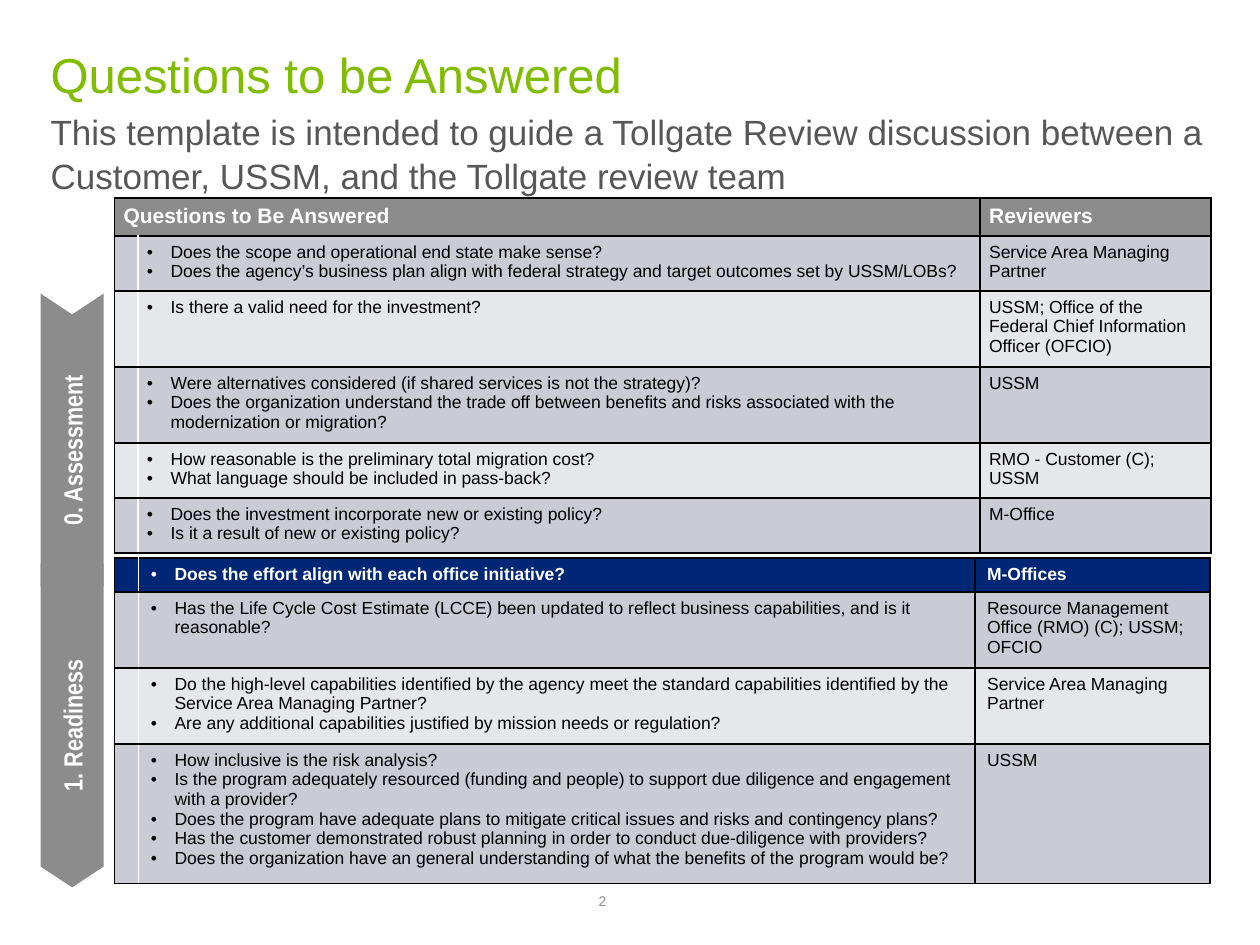
"""Builds the slide listing the questions and reviewers of two tollgate phases."""
from dataclasses import dataclass

from lxml.etree import SubElement
from pptx import Presentation
from pptx.dml.color import RGBColor
from pptx.enum.shapes import MSO_SHAPE as Shape
from pptx.enum.text import MSO_ANCHOR as Anchor, PP_ALIGN as Align
from pptx.oxml.ns import qn
from pptx.util import Cm, Pt

TITLE = "Questions to be Answered"
SUBTITLE = ("This template is intended to guide a Tollgate Review discussion between a "
            "Customer, USSM, and the Tollgate review team")
PAGE_NUMBER = "2"
HEADER = ("Questions to Be Answered", "Reviewers")

ASSESSMENT = [
    (2, ["Does the scope and operational end state make sense?",
         "Does the agency’s business plan align with federal strategy and target outcomes set by USSM/LOBs?"],
     "Service Area Managing Partner"),
    (3, ["Is there a valid need for the investment?"],
     "USSM; Office of the Federal Chief Information Officer (OFCIO)"),
    (3, ["Were alternatives considered (if shared services is not the strategy)?",
         "Does the organization understand the trade off between benefits and risks associated with the "
         "modernization or migration?"],
     "USSM"),
    (2, ["How reasonable is the preliminary total migration cost?",
         "What language should be included in pass-back?"],
     "RMO - Customer (C); USSM"),
    (2, ["Does the investment incorporate new or existing policy?",
         "Is it a result of new or existing policy?"],
     "M-Office"),
]
READINESS = [
    (1, ["Does the effort align with each office initiative?"], "M-Offices"),
    (3, ["Has the Life Cycle Cost Estimate (LCCE) been updated to reflect business capabilities, "
         "and is it reasonable?"],
     "Resource Management Office (RMO) (C); USSM; OFCIO"),
    (3, ["Do the high-level capabilities identified by the agency meet the standard capabilities "
         "identified by the Service Area Managing Partner?",
         "Are any additional capabilities justified by mission needs or regulation?"],
     "Service Area Managing Partner"),
    (6, ["How inclusive is the risk analysis?",
         "Is the program adequately resourced (funding and people) to support due diligence and "
         "engagement with a provider?",
         "Does the program have adequate plans to mitigate critical issues and risks and contingency plans?",
         "Has the customer demonstrated robust planning in order to conduct due-diligence with providers?",
         "Does the organization have an general understanding of what the benefits of the program would be?"],
     "USSM"),
]
PHASES = [
    dict(label="0. Assessment", arrow=(5.92, 6.32), top=3.99, inset=0.18, columns=(0.47, 16.98, 4.65),
         rows=ASSESSMENT, header=HEADER),
    dict(label="1. Readiness", arrow=(11.36, 6.53), top=11.25, inset=0.25, columns=(0.48, 16.86, 4.74),
         rows=READINESS, header=None),
]


@dataclass(frozen=True)
class Theme:
    font: str = "Arial"
    narrow: str = "Arial Narrow"
    green: str = "81BC00"
    text: str = "575757"
    gray: str = "8C8C8C"
    navy: str = "002776"
    bands: tuple = ("CACBD5", "E6E7EB")
    black: str = "000000"
    white: str = "FFFFFF"
    title: int = 28
    subtitle: int = 20
    arrow: int = 15
    header: int = 12
    body: int = 10
    number: int = 8


theme = Theme()
TABLE_LEFT, LINE, PADDING, HEADER_HEIGHT = 2.31, 0.39, 0.13, 0.74
ARROW_LEFT, ARROW_WIDTH, INDENT = 0.82, 1.27, 0.48


def add_bullet(para, color):
    properties = para._p.get_or_add_pPr()
    properties.set("marL", str(Cm(INDENT)))
    properties.set("indent", str(-Cm(INDENT)))
    SubElement(SubElement(properties, qn("a:buClr")), qn("a:srgbClr"), val=color)
    SubElement(properties, qn("a:buFont"), typeface=theme.font)
    SubElement(properties, qn("a:buChar"), char="•")


def write(frame, *lines, size=theme.body, color=theme.black, font=theme.font, bold=False,
          align=Align.LEFT, spacing=None, bullet=False):
    frame.word_wrap = True
    for index, line in enumerate(lines):
        para = frame.add_paragraph() if index else frame.paragraphs[0]
        para.alignment = align
        if spacing:
            para.line_spacing = spacing
        if bullet:
            add_bullet(para, color)
        span = para.add_run()
        span.text = line
        span.font.size, span.font.name, span.font.bold = Pt(size), font, bold
        span.font.color.rgb = RGBColor.from_string(color)


def clear_margins(frame, anchor):
    frame.margin_left = frame.margin_right = frame.margin_top = frame.margin_bottom = 0
    frame.vertical_anchor = anchor


def add_text(page, text, left, top, width, height, anchor=Anchor.TOP, **style):
    box = page.shapes.add_textbox(Cm(left), Cm(top), Cm(width), Cm(height))
    clear_margins(box.text_frame, anchor)
    write(box.text_frame, text, **style)


def style_cell(cell, fill, inset, left=theme.black, right=theme.black):
    properties = cell._tc.get_or_add_tcPr()
    for side, color in zip("LRTB", (left, right, theme.black, theme.black)):
        line = SubElement(properties, qn(f"a:ln{side}"), w=str(Pt(1)))
        SubElement(SubElement(line, qn("a:solidFill")), qn("a:srgbClr"), val=color)
    cell.fill.solid()
    cell.fill.fore_color.rgb = RGBColor.from_string(fill)
    cell.margin_left = cell.margin_right = Cm(inset)
    cell.margin_top = cell.margin_bottom = Cm(PADDING)


def add_questions(page, top, inset, columns, rows, header):
    heights = [HEADER_HEIGHT] * bool(header) + [lines * LINE + 2 * PADDING for lines, *_ in rows]
    table = page.shapes.add_table(len(heights), len(columns), Cm(TABLE_LEFT), Cm(top),
                                  Cm(sum(columns)), Cm(sum(heights))).table
    table.first_row = table.horz_banding = False
    for column, width in zip(table.columns, columns):
        column.width = Cm(width)
    for row, height in zip(table.rows, heights):
        row.height = Cm(height)
    if header:
        table.cell(0, 0).merge(table.cell(0, 1))
        for column, text in zip((0, 2), header):
            style_cell(table.cell(0, column), theme.gray, inset)
            write(table.cell(0, column).text_frame, text, size=theme.header, color=theme.white, bold=True)
    for index, (_, questions, reviewer) in enumerate(rows):
        leading = not header and index == 0
        fill = theme.navy if leading else theme.bands[(index + (not header)) % 2]
        style = dict(color=theme.white if leading else theme.black, bold=leading)
        stripe, question, review = table.rows[index + bool(header)].cells
        style_cell(stripe, fill, 0, right=theme.white)
        SubElement(stripe.text_frame.paragraphs[0]._p, qn("a:endParaRPr"), sz=str(theme.body * 100))
        style_cell(question, fill, inset, left=theme.white)
        write(question.text_frame, *questions, bullet=True, **style)
        style_cell(review, fill, inset)
        write(review.text_frame, reviewer, **style)


def add_phase_arrow(page, label, top, length):
    shift = (length - ARROW_WIDTH) / 2
    arrow = page.shapes.add_shape(Shape.CHEVRON, Cm(ARROW_LEFT - shift), Cm(top + shift),
                                  Cm(length), Cm(ARROW_WIDTH))
    arrow.rotation = 270
    arrow._element.spPr.xfrm.set("flipH", "1")
    arrow.adjustments[0] = 0.33
    arrow.shadow.inherit = False
    arrow.fill.solid()
    arrow.fill.fore_color.rgb = RGBColor.from_string(theme.gray)
    arrow.line.fill.background()
    clear_margins(arrow.text_frame, Anchor.MIDDLE)
    write(arrow.text_frame, label, size=theme.arrow, color=theme.white, font=theme.narrow,
          bold=True, align=Align.CENTER)


deck = Presentation()
deck.slide_width, deck.slide_height = Cm(25.4), Cm(19.05)
page = deck.slides.add_slide(deck.slide_layouts[6])
add_text(page, TITLE, 1.02, 0.81, 23.37, 1.3, anchor=Anchor.MIDDLE, spacing=1.05,
         size=theme.title, color=theme.green)
add_text(page, SUBTITLE, 1.02, 2.18, 23.37, 2.11, spacing=1.05, size=theme.subtitle, color=theme.text)
for phase in PHASES:
    add_phase_arrow(page, phase["label"], *phase["arrow"])
    add_questions(page, *(phase[key] for key in ("top", "inset", "columns", "rows", "header")))
add_text(page, PAGE_NUMBER, 12.07, 18.01, 1.27, 0.33, anchor=Anchor.BOTTOM,
         size=theme.number, color=theme.gray)
deck.save("out.pptx")
